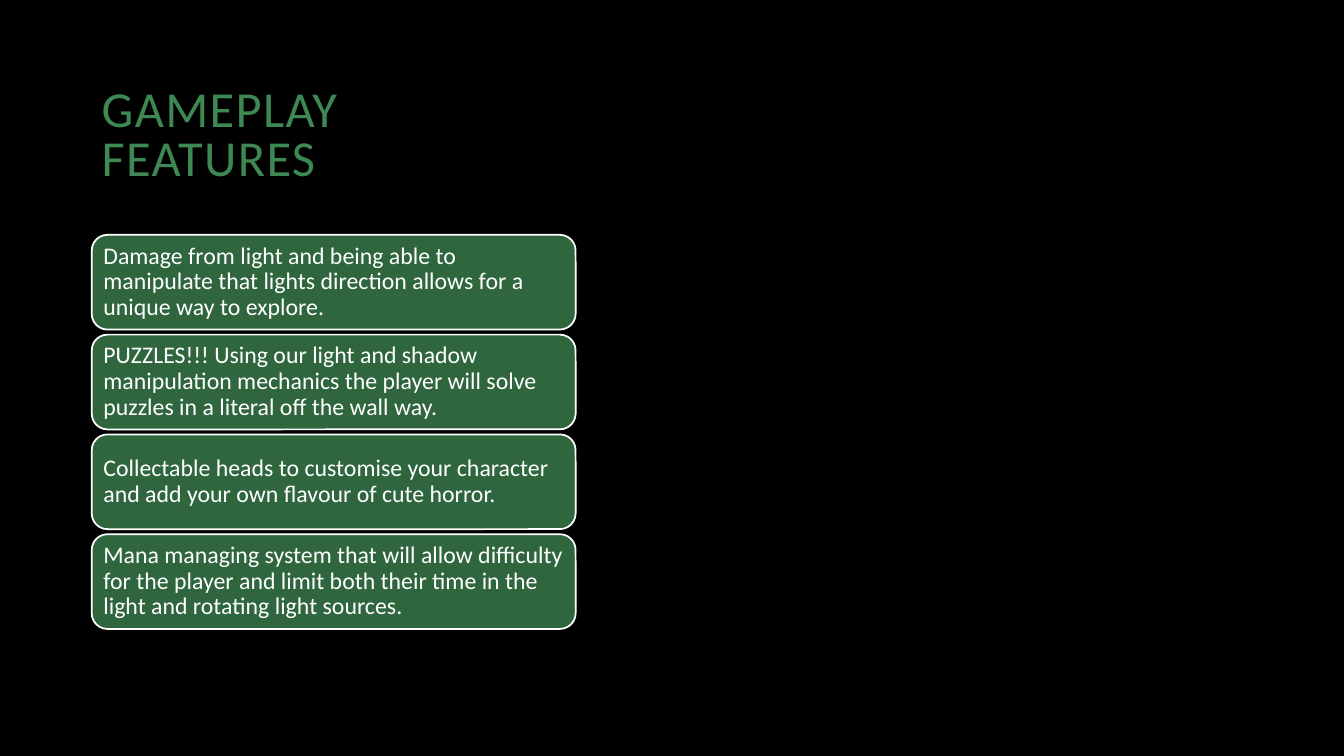
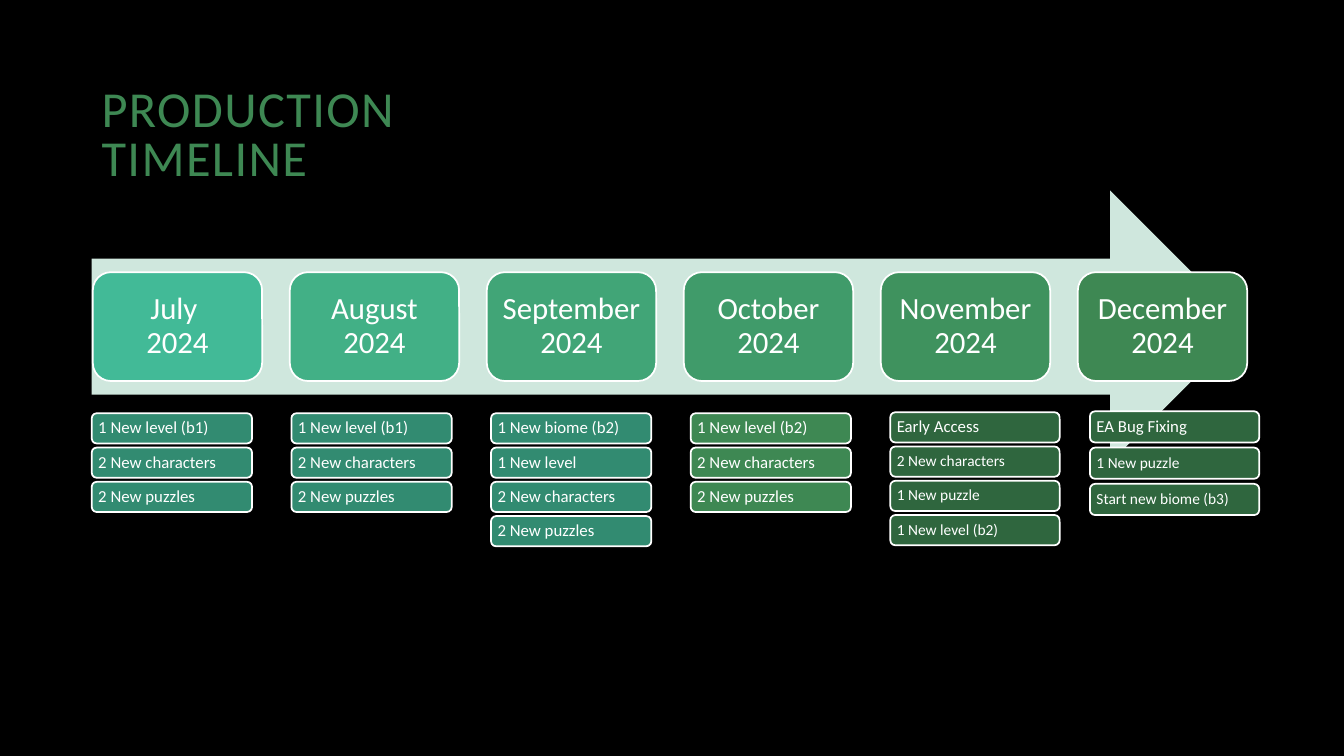
from dataclasses import dataclass

import pptx
import pptx.dml.color
import pptx.enum.shapes
import pptx.enum.text
import pptx.util
from pptx.dml.color import RGBColor
from pptx.shapes.autoshape import Shape
from pptx.slide import Slide
from pptx.util import Inches

SHAPES = pptx.enum.shapes.MSO_SHAPE
ALIGN = pptx.enum.text.PP_ALIGN
MIDDLE = pptx.enum.text.MSO_ANCHOR.MIDDLE


@dataclass(frozen=True)
class Theme:
    font: str = "Calibri"
    background: str = "000000"
    white: str = "FFFFFF"
    green: str = "3E8853"
    dark_green: str = "2F663E"
    teal: str = "328B71"
    pale_green: str = "CFE7DD"
    title_size: float = 36
    month_size: float = 22
    feature_size: float = 17
    task_size: float = 12
    small_task_size: float = 11
    outline: float = 1.25


THEME = Theme()


@dataclass(frozen=True)
class CardStyle:
    width: float
    height: float
    inset: float
    align: ALIGN = ALIGN.LEFT


FEATURE_CARD = CardStyle(4.8, 0.94, 0.07)
MONTH_CARD = CardStyle(1.68, 1.08, 0.09, ALIGN.CENTER)
TASK_CARD = CardStyle(1.59, 0.3, 0.05)
EARLY_ACCESS_CARD = CardStyle(1.68, 0.3, 0.05)
BUG_FIXING_CARD = CardStyle(1.68, 0.31, 0.05)


@dataclass(frozen=True)
class Month:
    label: str
    color: str
    tasks: tuple[str, ...]
    task_color: str = THEME.teal
    task_card: CardStyle = TASK_CARD
    task_top: float = 4.1
    task_pitch: float = 0.34
    later_size: float = THEME.task_size


LEFT = 0.91
FEATURE_TOP, FEATURE_PITCH = 2.33, 0.99
MONTH_TOP, FIRST_MONTH_LEFT, LAST_MONTH_LEFT = 2.7, 0.92, 10.69
TASK_COLUMN_PITCH = 1.98

FEATURES = (
    "Damage from light and being able to manipulate that lights direction allows for a unique way to explore.",
    "PUZZLES!!! Using our light and shadow manipulation mechanics the player will solve puzzles in a literal off the wall way.",
    "Collectable heads to customise your character and add your own flavour of cute horror.",
    "Mana managing system that will allow difficulty for the player and limit both their time in the light and rotating light sources.",
)

MONTHS = (
    Month("July \v2024", "42BA97", ("1 New level (b1)", "2 New characters", "2 New puzzles")),
    Month("August 2024", "42B086", ("1 New level (b1)", "2 New characters", "2 New puzzles")),
    Month("September 2024", "41A577",
          ("1 New biome (b2)", "1 New level", "2 New characters", "2 New puzzles")),
    Month("October 2024", "409B6A", ("1 New level (b2)", "2 New characters", "2 New puzzles"),
          THEME.green),
    Month("November 2024", "3F925E",
          ("Early Access", "2 New characters", "1 New puzzle", "1 New level (b2)"),
          THEME.dark_green, EARLY_ACCESS_CARD, 4.09, later_size=THEME.small_task_size),
    Month("December 2024", THEME.green, ("EA Bug Fixing", "1 New puzzle", "Start new biome (b3)"),
          THEME.dark_green, BUG_FIXING_CARD, 4.08, 0.36, THEME.small_task_size),
)


def set_text(shape: Shape, text: str, size: float, color: str, line_spacing: float,
             align: ALIGN = ALIGN.LEFT) -> None:
    frame = shape.text_frame
    frame.text = text
    frame.word_wrap = True
    frame.vertical_anchor = MIDDLE
    paragraph = frame.paragraphs[0]
    paragraph.alignment = align
    paragraph.line_spacing = line_spacing
    for run in paragraph.runs:
        run.font.name = THEME.font
        run.font.size = pptx.util.Pt(size)
        run.font.color.rgb = RGBColor.from_string(color)


def add_filled(slide: Slide, kind: SHAPES, left: float, top: float, width: float,
               height: float, color: str) -> Shape:
    shape = slide.shapes.add_shape(kind, Inches(left), Inches(top), Inches(width), Inches(height))
    shape.shadow.inherit = False
    shape.fill.solid()
    shape.fill.fore_color.rgb = RGBColor.from_string(color)
    shape.line.fill.background()
    return shape


def add_card(slide: Slide, style: CardStyle, left: float, top: float, text: str, size: float,
             color: str) -> None:
    card = add_filled(slide, SHAPES.ROUNDED_RECTANGLE, left, top, style.width, style.height, color)
    card.line.color.rgb = RGBColor.from_string(THEME.white)
    card.line.width = pptx.util.Pt(THEME.outline)
    frame = card.text_frame
    frame.margin_left = frame.margin_right = Inches(style.inset)
    frame.margin_top = frame.margin_bottom = Inches(style.inset)
    set_text(card, text, size, THEME.white, 0.9, style.align)


def add_titled_slide(deck: pptx.presentation.Presentation, text: str, title_width: float) -> Slide:
    slide = deck.slides.add_slide(deck.slide_layouts[6])
    slide.background.fill.solid()
    slide.background.fill.fore_color.rgb = RGBColor.from_string(THEME.background)
    title = slide.shapes.add_textbox(Inches(LEFT), Inches(1.07), Inches(title_width), Inches(0.59))
    set_text(title, text, THEME.title_size, THEME.green, 0.8)
    for run in title.text_frame.paragraphs[0].runs:
        run.font._element.set("spc", "100")
    return slide


def add_features(deck: pptx.presentation.Presentation) -> None:
    slide = add_titled_slide(deck, "GAMEPLAY FEATURES", 3.65)
    for row, feature in enumerate(FEATURES):
        add_card(slide, FEATURE_CARD, LEFT, FEATURE_TOP + row * FEATURE_PITCH, feature,
                 THEME.feature_size, THEME.dark_green)


def add_tasks(slide: Slide, month: Month, left: float) -> None:
    for row, task in enumerate(month.tasks):
        size = month.later_size if row else THEME.task_size
        add_card(slide, month.task_card, left, month.task_top + row * month.task_pitch, task,
                 size, month.task_color)


def add_timeline(deck: pptx.presentation.Presentation) -> None:
    slide = add_titled_slide(deck, "PRODUCTION TIMELINE", 3.96)
    add_filled(slide, SHAPES.RIGHT_ARROW, LEFT, 1.89, 11.45, 2.7, THEME.pale_green)
    month_pitch = (LAST_MONTH_LEFT - FIRST_MONTH_LEFT) / (len(MONTHS) - 1)
    for column, month in enumerate(MONTHS):
        add_card(slide, MONTH_CARD, FIRST_MONTH_LEFT + column * month_pitch, MONTH_TOP,
                 month.label, THEME.month_size, month.color)
        add_tasks(slide, month, LEFT + column * TASK_COLUMN_PITCH)


def main() -> None:
    deck = pptx.Presentation()
    deck.slide_width, deck.slide_height = Inches(13.33), Inches(7.5)
    add_features(deck)
    add_timeline(deck)
    deck.save("out.pptx")


if __name__ == "__main__":
    main()
